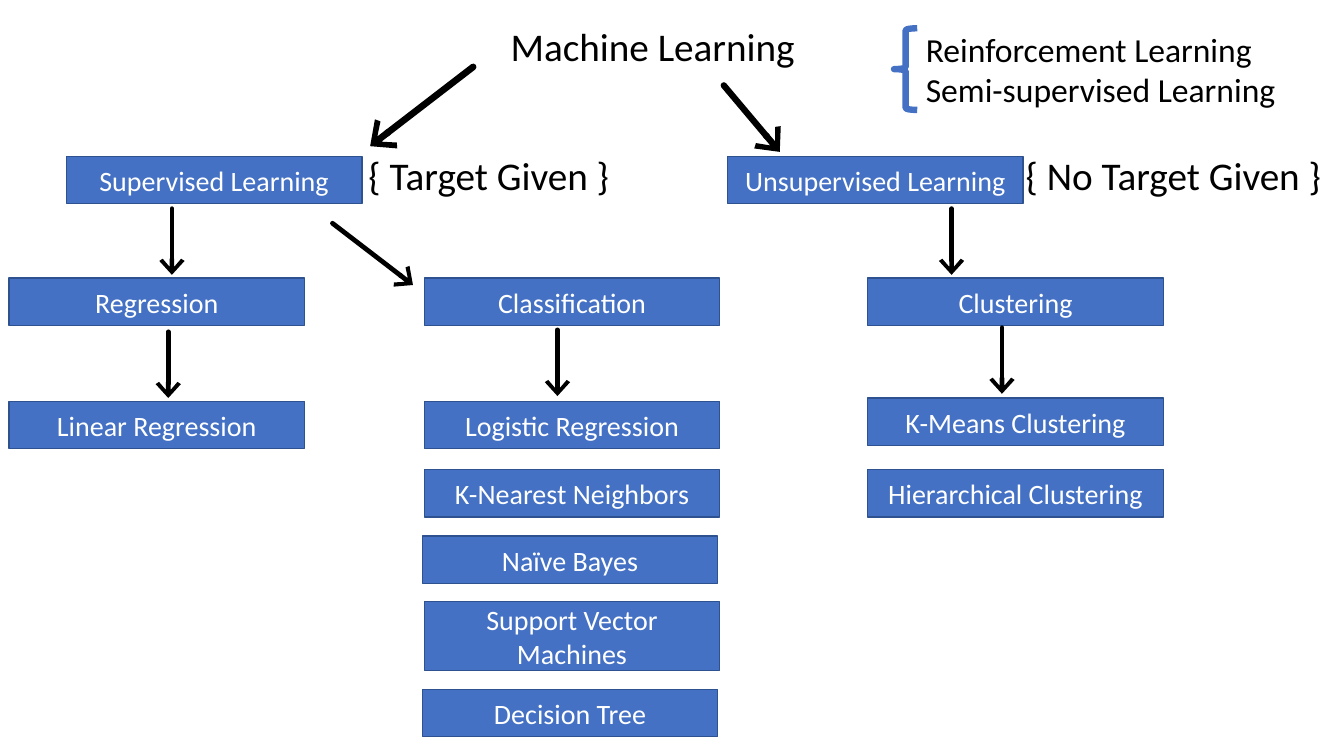
import pptx
import pptx.util
import pptx.dml.color
import pptx.enum.shapes
import pptx.enum.text
import pptx.oxml
import pptx.oxml.ns

Pt = pptx.util.Pt

THEME = {
    "font": "Calibri",
    "box_fill": "4471C4",
    "box_line": "2E528F",
    "box_text": "FFFFFF",
    "ink": "000000",
    "heading_size": 28,
    "note_size": 24,
    "box_size": 20,
    "box_line_width": 0.96,
    "brace_width": 4.56,
}
SLIDE_SIZE = (960, 540)
BOX_WIDTH, BOX_HEIGHT, TALL_BOX_HEIGHT = 211, 33.8, 49
ARROW_DROP = 47.3

# text, left, top, width, height, size
LABELS = [
    ("Machine Learning", 364.7, 14.4, 207, 36, THEME["heading_size"]),
    ("Reinforcement Learning\nSemi-supervised Learning", 661.3, 18.7, 262, 60, THEME["note_size"]),
    ("{ Target Given }", 263.2, 106.6, 176, 36, THEME["heading_size"]),
    ("{ No Target Given }", 732.6, 106.6, 220, 36, THEME["heading_size"]),
]
BRACE = (638.6, 20.2, 16.6, 58.3)

# left edge of a column, then (text, top) for each box in it
COLUMNS = [
    (47.5, [("Supervised Learning", 111.6)]),
    (519.8, [("Unsupervised Learning", 111.6)]),
    (6.5, [("Regression", 198.7), ("Linear Regression", 286.6)]),
    (303.1, [
        ("Classification", 198.7),
        ("Logistic Regression", 286.6),
        ("K-Nearest Neighbors", 335.5),
        ("Support Vector\nMachines", 429.8),
    ]),
    (301.7, [("Naïve Bayes", 383), ("Decision Tree", 492.5)]),
    (619.9, [
        ("Clustering", 198.7),
        ("K-Means Clustering", 284.4),
        ("Hierarchical Clustering", 335.5),
    ]),
]

# start x, start y, tip x, tip y, line width
SLANTED_ARROWS = [
    (338, 47.8, 264.4, 104.4, 4.75),
    (517, 61, 557, 108.5, 4.5),
    (237.5, 159.5, 295, 203.6, 3.4),
]
# x, start y
DOWN_ARROWS = [(122.8, 149), (120.2, 237), (398.2, 235.6), (679.7, 149), (715.7, 234)]
DOWN_ARROW_WIDTH = 3.3


def color(name):
    return pptx.dml.color.RGBColor.from_string(THEME[name])


def write_text(shape, text, size, color_name, alignment, anchor, top_inset):
    frame = shape.text_frame
    frame.text = text
    frame.word_wrap = True
    frame.vertical_anchor = anchor
    frame.margin_left = frame.margin_right = frame.margin_bottom = 0
    frame.margin_top = Pt(top_inset)
    for paragraph in frame.paragraphs:
        paragraph.alignment = alignment
        paragraph.font.name = THEME["font"]
        paragraph.font.size = Pt(size)
        paragraph.font.color.rgb = color(color_name)


def add_label(slide, text, left, top, width, height, size):
    label = slide.shapes.add_textbox(Pt(left), Pt(top), Pt(width), Pt(height))
    write_text(label, text, size, "ink", pptx.enum.text.PP_ALIGN.LEFT,
               pptx.enum.text.MSO_ANCHOR.TOP, 1.8)


def add_box(slide, text, left, top):
    height = TALL_BOX_HEIGHT if "\n" in text else BOX_HEIGHT
    box = slide.shapes.add_shape(pptx.enum.shapes.MSO_SHAPE.RECTANGLE,
                                 Pt(left), Pt(top), Pt(BOX_WIDTH), Pt(height))
    box.shadow.inherit = False
    box.fill.solid()
    box.fill.fore_color.rgb = color("box_fill")
    box.line.color.rgb = color("box_line")
    box.line.width = Pt(THEME["box_line_width"])
    write_text(box, text, THEME["box_size"], "box_text", pptx.enum.text.PP_ALIGN.CENTER,
               pptx.enum.text.MSO_ANCHOR.MIDDLE, 0)


def add_brace(slide):
    brace = slide.shapes.add_shape(pptx.enum.shapes.MSO_SHAPE.LEFT_BRACE,
                                   *[Pt(length) for length in BRACE])
    brace.shadow.inherit = False
    brace.fill.background()
    brace.line.color.rgb = color("box_fill")
    brace.line.width = Pt(THEME["brace_width"])


def add_arrow(slide, start_x, start_y, tip_x, tip_y, width):
    """Draw a round-capped line with a large open arrowhead at its tip."""
    arrow = slide.shapes.add_connector(pptx.enum.shapes.MSO_CONNECTOR.STRAIGHT,
                                       Pt(start_x), Pt(start_y), Pt(tip_x), Pt(tip_y))
    arrow.line.color.rgb = color("ink")
    arrow.line.width = Pt(width)
    line = arrow.line._get_or_add_ln()
    line.set("cap", "rnd")
    namespace = pptx.oxml.ns.nsdecls("a")
    for tag in ("round", 'tailEnd type="arrow" w="lg" len="med"'):
        line.append(pptx.oxml.parse_xml(f"<a:{tag.split()[0]} {namespace}{tag[len(tag.split()[0]):]}/>"))
    line.addnext(pptx.oxml.parse_xml(f"<a:effectLst {namespace}/>"))


def main():
    presentation = pptx.Presentation()
    presentation.slide_width, presentation.slide_height = map(Pt, SLIDE_SIZE)
    slide = presentation.slides.add_slide(presentation.slide_layouts[6])
    for label in LABELS:
        add_label(slide, *label)
    add_brace(slide)
    for left, boxes in COLUMNS:
        for text, top in boxes:
            add_box(slide, text, left, top)
    for arrow in SLANTED_ARROWS:
        add_arrow(slide, *arrow)
    for x, top in DOWN_ARROWS:
        add_arrow(slide, x, top, x, top + ARROW_DROP, DOWN_ARROW_WIDTH)
    presentation.save("out.pptx")


if __name__ == "__main__":
    main()
